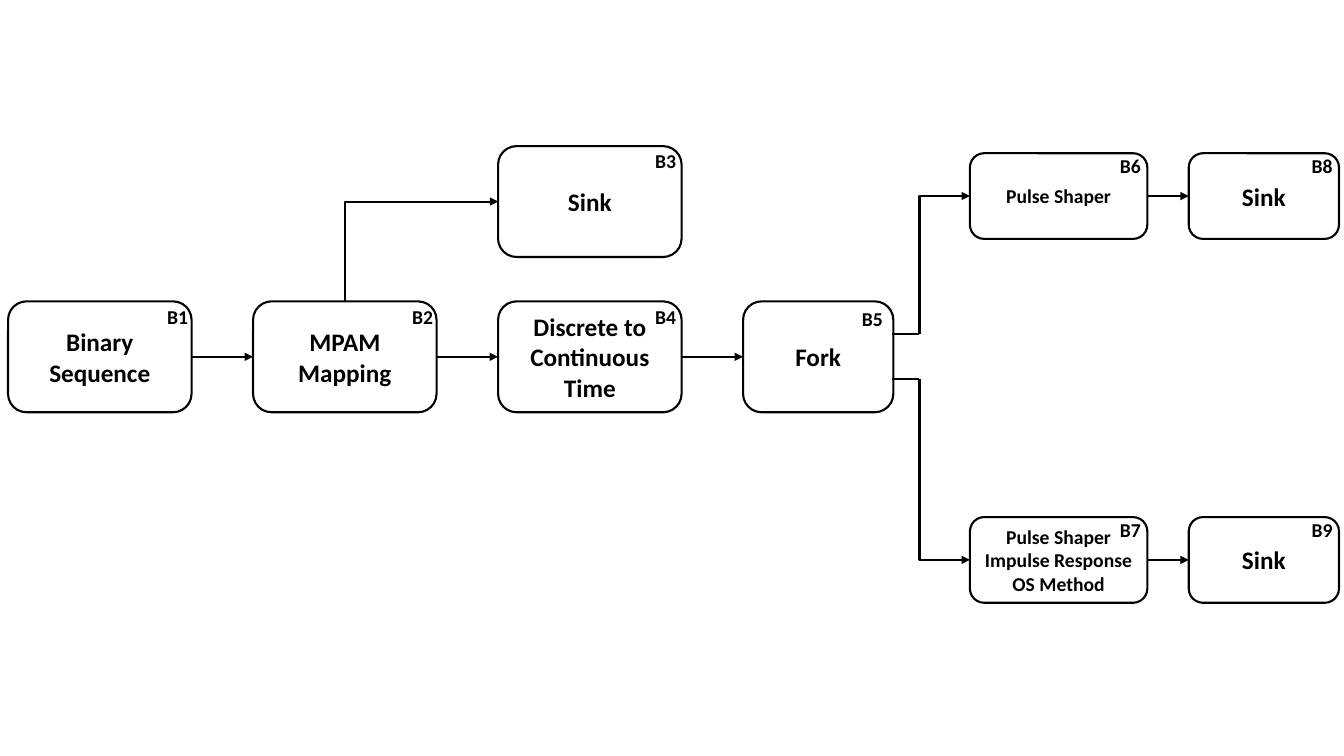
import pptx
import pptx.util
import pptx.dml.color
import pptx.enum.shapes
import pptx.enum.text
import pptx.oxml.ns
import lxml.etree

Inches = pptx.util.Inches
Pt = pptx.util.Pt
qn = pptx.oxml.ns.qn
KIND = pptx.enum.shapes.MSO_CONNECTOR
COLORS = {"ink": "000000", "paper": "FFFFFF"}
FONT = {"name": "Calibri", "bold": True}


def tint(name):
    return pptx.dml.color.RGBColor.from_string(COLORS[name])


def write(frame, text, size, align):
    frame.text = text
    for para in frame.paragraphs:
        para.alignment = align
        for key, value in {**FONT, "size": Pt(size)}.items():
            setattr(para.font, key, value)
        para.font.color.rgb = tint("ink")


def ink(line):
    line.color.rgb = tint("ink")
    line.width = Pt(1.5)


def block(slide, box, text, tag, size=18, shift=(0.36, -0.01)):
    left, top, width, height = box
    shape = slide.shapes.add_shape(
        pptx.enum.shapes.MSO_SHAPE.ROUNDED_RECTANGLE, *map(Inches, box))
    shape.shadow.inherit = False
    shape.fill.solid()
    shape.fill.fore_color.rgb = tint("paper")
    ink(shape.line)
    shape.text_frame.word_wrap = True
    shape.text_frame.vertical_anchor = pptx.enum.text.MSO_ANCHOR.MIDDLE
    write(shape.text_frame, text, size, pptx.enum.text.PP_ALIGN.CENTER)

    spot = (left + width - shift[0], top + shift[1], 0.43, 0.34)
    label = slide.shapes.add_textbox(*map(Inches, spot))
    label.text_frame.word_wrap = True
    label.text_frame.auto_size = pptx.enum.text.MSO_AUTO_SIZE.SHAPE_TO_FIT_TEXT
    write(label.text_frame, tag, 14, pptx.enum.text.PP_ALIGN.LEFT)
    return shape


def wire(slide, kind, start, end, head=True):
    line = slide.shapes.add_connector(kind, *map(Inches, start + end))
    ink(line.line)
    props = line._element.spPr
    if head:
        lxml.etree.SubElement(props.find(qn("a:ln")), qn("a:tailEnd"), type="triangle")
    lxml.etree.SubElement(props, qn("a:effectLst"))
    return line


def join(slide, first, last):
    line = wire(slide, KIND.STRAIGHT, (0, 0), (1, 0))
    line.begin_connect(first, 3)
    line.end_connect(last, 1)


def bend(slide, start, end):
    width, height = abs(end[1] - start[1]), end[0] - start[0]
    left = (start[0] + end[0] - width) / 2
    top = (start[1] + end[1] - height) / 2
    line = wire(slide, KIND.ELBOW, (left, top), (left + width, top + height))
    props = line._element.spPr
    props.find(qn("a:prstGeom")).set("prst", "bentConnector2")
    frame = props.find(qn("a:xfrm"))
    frame.set("flipH", "1")
    if end[1] < start[1]:
        frame.set("flipV", "1")
        frame.set("rot", "5400000")
    else:
        frame.set("rot", "16200000")


def trunk(slide, left, top):
    wide, high, step = 1.82, 1.1, 2.43
    parts = [
        ("Binary Sequence", "B1", wide, (0.34, -0.01)),
        ("MPAM Mapping", "B2", wide, (0.34, -0.01)),
        ("Discrete to\nContinuous\nTime", "B4", wide, (0.36, -0.01)),
        ("Fork", "B5", 1.49, (0.41, 0.01)),
    ]
    row = [block(slide, (left + i * step, top, width, high), text, tag, shift=shift)
           for i, (text, tag, width, shift) in enumerate(parts)]
    for first, last in zip(row, row[1:]):
        join(slide, first, last)
    side, rise = left + 2 * step, top - 1.54
    block(slide, (side, rise, wide, high), "Sink", "B3", shift=(0.36, -0.02))
    bend(slide, (left + step + wide / 2, top), (side, rise + high / 2))


def branch(slide, left, top, port, text, tags):
    high = 0.85
    shaper = block(slide, (left, top, 1.76, high), text, tags[0], 14, (0.37, -0.04))
    sink = block(slide, (left + 2.17, top, 1.49, high), "Sink", tags[1], shift=(0.37, -0.04))
    join(slide, shaper, sink)
    turn = left - 0.5
    wire(slide, KIND.STRAIGHT, (turn, port), (left - 0.77, port), head=False)
    bend(slide, (turn, port), (left, top + high / 2))


def main():
    deck = pptx.Presentation()
    deck.slide_width = Inches(13.33)
    deck.slide_height = Inches(7.5)
    slide = deck.slides.add_slide(deck.slide_layouts[6])
    trunk(slide, 0.08, 2.99)
    branch(slide, 9.62, 1.52, 3.31, "Pulse Shaper", ("B6", "B8"))
    branch(slide, 9.62, 5.13, 3.76, "Pulse Shaper\nImpulse Response\nOS Method", ("B7", "B9"))
    deck.save("out.pptx")


if __name__ == "__main__":
    main()
